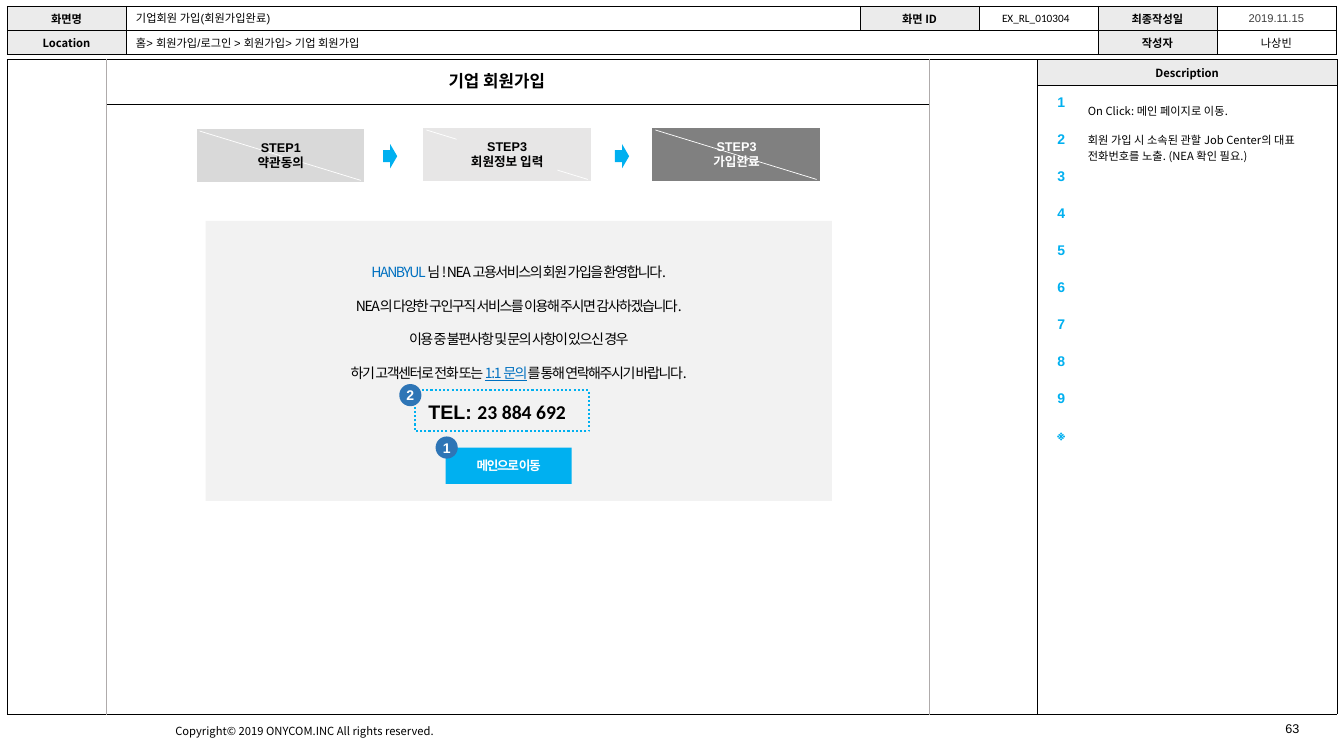
"""Build the wireframe page that confirms a completed company sign-up."""
from lxml.etree import SubElement
from pptx import Presentation
from pptx.dml.color import RGBColor
from pptx.enum.dml import MSO_LINE
from pptx.enum.shapes import MSO_CONNECTOR, MSO_SHAPE
from pptx.enum.text import MSO_ANCHOR, PP_ALIGN
from pptx.oxml.ns import qn
from pptx.util import Inches, Pt

NOTO = "Noto Sans CJK KR"
BLACK, WHITE, GREY, SKY, LINK = "000000", "FFFFFF", "EBEBEB", "00B0F0", "0070C0"


def hue(code):
    """Turn a hex string into a colour."""
    return RGBColor.from_string(code)


def write(frame, lines, size=8, font=NOTO, color=BLACK, bold=False, center=False,
          middle=False, tracking=0, pitch=None):
    """Fill a text frame with lines, each a string or a list of (text, changes)."""
    frame.vertical_anchor = MSO_ANCHOR.MIDDLE if middle else MSO_ANCHOR.TOP
    for index, line in enumerate(lines):
        para = frame.add_paragraph() if index else frame.paragraphs[0]
        para.alignment = PP_ALIGN.CENTER if center else PP_ALIGN.LEFT
        if pitch:
            para.line_spacing = Pt(pitch)
        for text, changes in [(line, {})] if isinstance(line, str) else line:
            span = para.add_run()
            span.text = text
            span.font.size, span.font.bold = Pt(size), bold
            span.font.name = changes.get("font", font)
            span.font.color.rgb = hue(changes.get("color", color))
            span.font.underline = changes.get("underline", False)
            properties = span.font._element
            SubElement(properties, qn("a:ea"), typeface=NOTO)
            if tracking:
                properties.set("spc", str(tracking * 100))


deck = Presentation()
deck.slide_width, deck.slide_height = Inches(13.33), Inches(7.5)
page = deck.slides.add_slide(deck.slide_layouts[6])
cell_size = deck.slide_height // 750

bordered_tables = [
    ((7, 59, 1319, 649), (1022, 297), (25, 624),
     [["", "Description"], ["", ""]], ((0, 0), (1, 0)), 0.04),
    ((7, 6, 1319, 48), (118, 728, 118, 118, 118, 118), (24, 24),
     [["화면명", "", "화면 ID", "", "최종작성일", "2019.11.15"],
      ["Location", "", "", "", "작성자", "나상빈"]], ((1, 1), (1, 3)), 0.01),
]
guide_notes = [["On Click: 메인 페이지로 이동."],
               ["회원 가입 시 소속된 관할 Job Center의 대표", "전화번호를 노출. (NEA 확인 필요.)"]]
guide_rows = [[mark, ""] for mark in "123456789※"]
guide_table = ((1036, 90, 285, 367), (33, 252), (36.7,) * 10, guide_rows, None, 0.04)
plain_values = {"2019.11.15": "404040", "나상빈": BLACK}

for area, columns, rows, texts, merged, margin in bordered_tables + [guide_table]:
    is_guide = texts is guide_rows
    table = page.shapes.add_table(len(rows), len(columns), *(cell_size * n for n in area)).table
    table.first_row = table.horz_banding = False
    for index, width in enumerate(columns):
        table.columns[index].width = cell_size * width
    for index, height in enumerate(rows):
        table.rows[index].height = int(cell_size * height)
    if merged:
        table.cell(*merged[0]).merge(table.cell(*merged[1]))
    for row, values in enumerate(texts):
        for column, value in enumerate(values):
            cell = table.cell(row, column)
            cell.margin_left = cell.margin_right = Inches(margin)
            cell.margin_top = cell.margin_bottom = Inches(margin)
            if not is_guide:
                for side in ("lnL", "lnR", "lnT", "lnB"):
                    border = SubElement(cell._tc.get_or_add_tcPr(), qn(f"a:{side}"), w="3175")
                    paint = SubElement(border, qn("a:solidFill"))
                    SubElement(paint, qn("a:srgbClr"), val=BLACK)
            heading = value and not is_guide and value not in plain_values
            cell.fill.solid()
            cell.fill.fore_color.rgb = hue(GREY if heading else WHITE)
            if is_guide and column == 1 and row < len(guide_notes):
                cell.margin_left, cell.margin_top, cell.margin_bottom = Inches(0.1), Inches(0.03), 0
                write(cell.text_frame, guide_notes[row])
                cell.vertical_anchor = MSO_ANCHOR.MIDDLE
            elif is_guide and value:
                write(cell.text_frame, [value], size=10, font="Arial", color=SKY,
                      bold=True, center=True)
            elif value:
                write(cell.text_frame, [value], font=NOTO if heading else "Arial",
                      color=plain_values.get(value, BLACK), bold=bool(heading), center=True)
                cell.vertical_anchor = MSO_ANCHOR.MIDDLE
            else:
                cell.text_frame.paragraphs[0]._p.get_or_add_endParaRPr().set("sz", "800")

welcome = [
    [("HANBYUL ", {"color": LINK}), ("님 ! NEA 고용서비스의 회원 가입을 환영합니다.", {})],
    "NEA의 다양한 구인구직 서비스를 이용해 주시면 감사하겠습니다.",
    "이용 중 불편사항 및 문의 사항이 있으신 경우",
    [("하기 고객센터로 전화 또는 ", {}), ("1:1 문의", {"color": LINK, "underline": True}),
     ("를 통해 연락해주시기 바랍니다.", {})],
]
badge = dict(size=10, font="Arial", color=WHITE, bold=True, center=True, middle=True)
shapes = [
    (MSO_SHAPE.RECTANGLE, (204, 219, 621, 278), "F2F2F2", welcome,
     dict(size=10, center=True, tracking=-1, pitch=24)),
    (MSO_SHAPE.RECTANGLE, (442, 444, 125, 36), SKY, ["메인으로 이동"],
     dict(size=9, color=WHITE, bold=True, center=True, middle=True, tracking=-1)),
    (MSO_SHAPE.OVAL, (432, 433, 22, 22), "2E75B6", ["1"], badge),
    (MSO_SHAPE.RECTANGLE, (412, 387, 172, 41), None, [], {}),
    (MSO_SHAPE.OVAL, (396, 381, 22, 22), "2E75B6", ["2"], badge),
    (MSO_SHAPE.RIGHT_ARROW, (380, 143, 14, 24), SKY, [], {}),
    (MSO_SHAPE.RIGHT_ARROW, (610, 143, 14, 24), SKY, [], {}),
]
lines = [(105, 103, 922, 103, BLACK, 0.25)]
lines += [(x, 59, x, 709, "AFABAB", 0.5) for x in (105, 922)]
texts = [
    ((164, 714, 287, 24), ["Copyright© 2019 ONYCOM.INC All rights reserved."], None, {}),
    ((1265, 710, 56, 40), ["63"], None, dict(size=9, font="Arial")),
    ((125, 6, 381, 24), ["기업회원 가입(회원가입완료)"], None, dict(font="Arial")),
    ((125, 31, 381, 24), ["홈> 회원가입/로그인 > 회원가입> 기업 회원가입"], None, dict(font="Arial")),
    ((415, 392, 191, 34), [[("TEL: ", {}), ("23 884 692", {"font": "Calibri"})]], None,
     dict(size=14, font="Arial", bold=True)),
    ((435, 65, 179, 31), ["기업 회원가입"], None, dict(size=12, bold=True)),
    ((984, 6, 97, 24), ["EX_RL_010304"], None, dict(font="Calibri")),
]
steps = [
    (195, 128, "D9D9D9", ["STEP1", "약관동의"], BLACK, 71, None),
    (420, 127, "E7E6E6", ["STEP3", "회원정보 입력"], BLACK, 100, "E7E6E6"),
    (647, 127, "808080", ["STEP3", "가입완료"], WHITE, 71, None),
]
for left, top, fill, label, color, width, backing in steps:
    shapes.append((MSO_SHAPE.FLOWCHART_PROCESS, (left, top, 166, 53), fill, [], {}))
    lines.append((left + 3, top + 2, left + 163, top + 51, WHITE, 0.5))
    texts.append(((left + 83 - width // 2, top + 6, width, 40), label, backing,
                  dict(size=9, font="Arial", color=color, bold=True, center=True, middle=True)))

for kind, area, fill, content, style in shapes:
    shape = page.shapes.add_shape(kind, *(cell_size * n for n in area))
    shape.shadow.inherit = False
    if fill:
        shape.fill.solid()
        shape.fill.fore_color.rgb = hue(fill)
        shape.line.fill.background()
    else:
        shape.fill.background()
        shape.line.color.rgb, shape.line.width = hue(SKY), Pt(1.5)
        shape.line.dash_style = MSO_LINE.ROUND_DOT
    if content:
        frame = shape.text_frame
        frame.margin_left = frame.margin_right = frame.margin_bottom = 0
        frame.margin_top = Inches(0.26) if content is welcome else 0
        write(frame, content, **style)

for left, top, right, bottom, color, width in lines:
    ends = (cell_size * n for n in (left, top, right, bottom))
    line = page.shapes.add_connector(MSO_CONNECTOR.STRAIGHT, *ends)
    line.line.color.rgb, line.line.width = hue(color), Pt(width)
    SubElement(line._element.spPr, qn("a:effectLst"))

for area, content, backing, style in texts:
    box = page.shapes.add_textbox(*(cell_size * n for n in area))
    box.text_frame.word_wrap = not style.get("middle", False)
    if backing:
        box.fill.solid()
        box.fill.fore_color.rgb = hue(backing)
    write(box.text_frame, content, **style)

deck.save("out.pptx")
